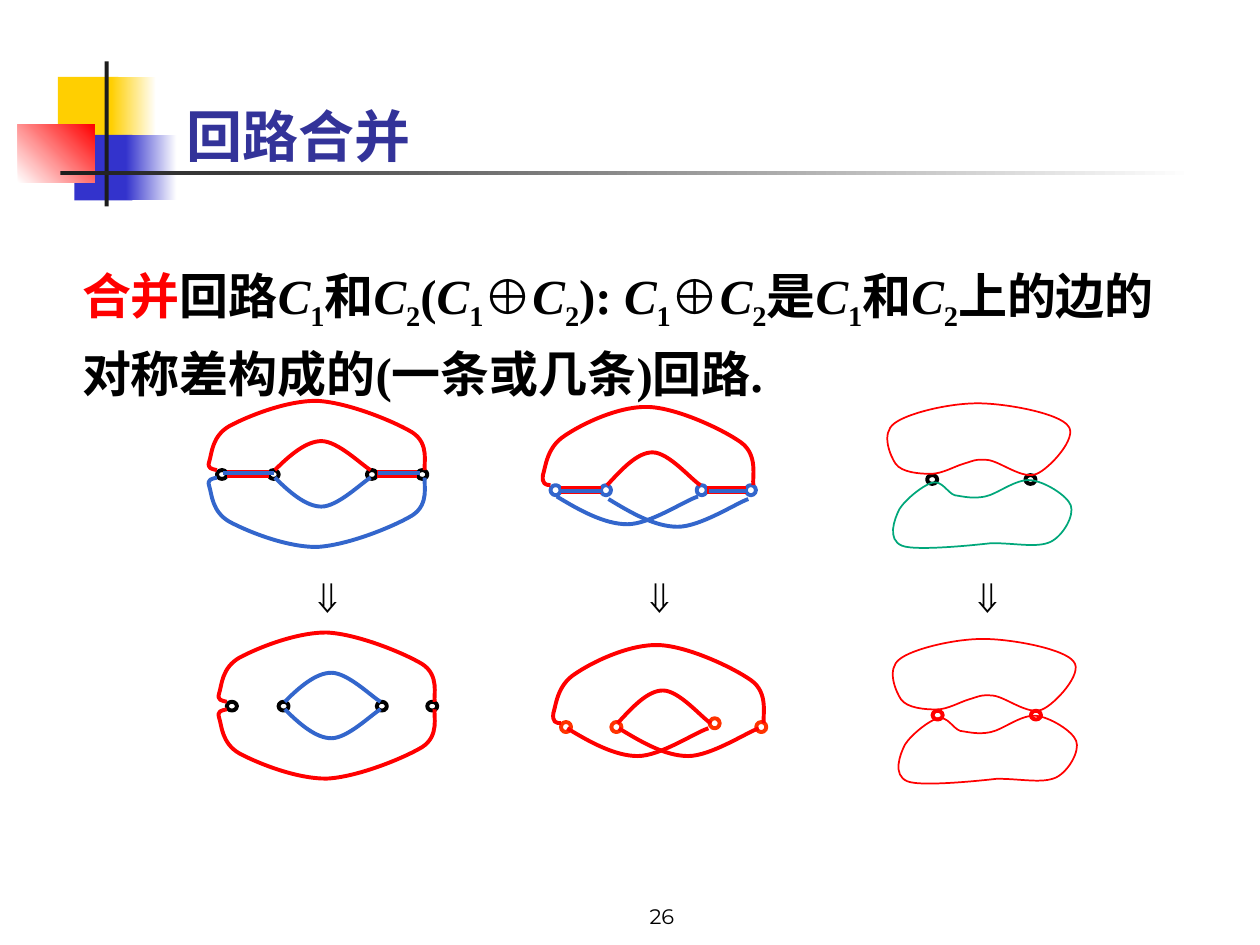
from lxml import etree
from pptx import Presentation
from pptx.dml.color import RGBColor
from pptx.enum.shapes import MSO_CONNECTOR, MSO_SHAPE
from pptx.enum.text import MSO_ANCHOR, MSO_AUTO_SIZE, PP_ALIGN
from pptx.oxml.ns import qn
from pptx.util import Cm, Pt

RECT, OVAL = MSO_SHAPE.RECTANGLE, MSO_SHAPE.OVAL
STRAIGHT = MSO_CONNECTOR.STRAIGHT
BOTTOM, TOP = MSO_ANCHOR.BOTTOM, MSO_ANCHOR.TOP
CENTER = PP_ALIGN.CENTER
GROW, NO_FIT = MSO_AUTO_SIZE.SHAPE_TO_FIT_TEXT, MSO_AUTO_SIZE.NONE

CJK, SERIF, SANS, NUMBER = "Noto Sans CJK SC", "Times New Roman", "Arial", "Montserrat"
BLACK, WHITE, DARK = "000000", "FFFFFF", "1C1C1C"
RED, BLUE, GREEN, ORANGE = "FF0000", "3366CC", "00A77A", "FF3300"
YELLOW, INDIGO, TITLE = "FFCF01", "3333CC", "333399"

# The figures are drawn on a fine grid; every curve is a start point
# followed by triples of Bezier points.
UNIT = Cm(0.0254)
RING_TOP = [(8, 55), (4, 54), (0, 54), (2, 48), (4, 42), (4, 28), (18, 20),
            (33, 12), (63, 0), (87, 0), (111, 1), (148, 16), (163, 25),
            (177, 34), (172, 50), (173, 55)]
EYE_TOP = [(54, 55), (66, 43), (79, 32), (91, 32), (104, 32), (123, 51), (130, 55)]
ARCH = [(7, 63), (3, 63), (0, 62), (1, 55), (3, 49), (4, 33), (18, 24),
        (31, 15), (61, 0), (85, 1), (108, 2), (144, 19), (158, 29),
        (172, 39), (167, 57), (168, 63)]
HUMP = [(52, 63), (64, 50), (76, 37), (88, 37), (101, 37), (119, 59), (126, 63)]
SAG = [(0, 0), (18, 11), (37, 22), (55, 22), (73, 22), (102, 3), (111, 0)]
LOOP_TOP = [(40, 56), (31, 56), (17, 55), (12, 48), (8, 42), (0, 24), (11, 16),
            (21, 8), (54, 0), (77, 0), (100, 0), (142, 8), (149, 18),
            (157, 27), (134, 52), (124, 56), (113, 61), (95, 46), (85, 45),
            (75, 44), (73, 46), (66, 48), (59, 50), (49, 56), (40, 56)]
LOOP_LOW = [(41, 63), (34, 65), (20, 76), (15, 84), (11, 92), (5, 108), (17, 113),
            (29, 118), (88, 111), (88, 111), (108, 111), (124, 115), (135, 110),
            (145, 105), (154, 89), (151, 81), (148, 73), (130, 62), (119, 61),
            (107, 60), (93, 72), (83, 74), (73, 76), (66, 74), (59, 73),
            (53, 71), (49, 61), (41, 63)]


def rgb(value):
    return RGBColor.from_string(value)


def flip(points, axis=116):
    return [(x, axis - y) for x, y in points]


def shift(points, dx, dy):
    return [(x + dx, y + dy) for x, y in points]


def place(sp, left, top, width, height):
    sp.left, sp.top, sp.width, sp.height = Cm(left), Cm(top), Cm(width), Cm(height)


def add_run(p, text, size, font, color=BLACK, bold=True, italic=False, sub=False):
    r = p.add_run()
    r.text = text
    f = r.font
    f.size, f.name, f.bold, f.italic = Pt(size), font, bold, italic
    f.color.rgb = rgb(color)
    rPr = r._r.get_or_add_rPr()
    etree.SubElement(rPr, qn("a:ea")).set("typeface", CJK)
    if sub:
        rPr.set("baseline", "-25000")


# Corner ornament and title rule
def add_ornament(slide, left, top):
    parts = [  # x, y, width, height, colours, angle
        (0.81, 0.31, 1.22, 1.32, [YELLOW], 0),
        (1.88, 0.31, 0.91, 1.32, [YELLOW, WHITE], 0),
        (1.14, 1.48, 1.17, 1.32, [INDIGO], 0),
        (2.18, 1.48, 1.02, 1.32, [INDIGO, WHITE], 0),
        (0, 1.27, 1.55, 1.17, [WHITE, RED], 45),
        (1.75, 0, 0.08, 2.92, [DARK], 0),
        (0.86, 2.21, 22.86, 0.08, [DARK, WHITE], 0),
    ]
    for x, y, width, height, colors, angle in parts:
        sp = slide.shapes.add_shape(RECT, Cm(left + x), Cm(top + y), Cm(width), Cm(height))
        sp.shadow.inherit = False
        sp.line.fill.background()
        if len(colors) == 1:
            sp.fill.solid()
            sp.fill.fore_color.rgb = rgb(colors[0])
        else:
            sp.fill.gradient()
            sp.fill.gradient_angle = angle
            for stop, color in zip(sp.fill.gradient_stops, colors):
                stop.color.rgb = rgb(color)


def add_title(slide, *box):
    sp = slide.shapes.title
    place(sp, *box)
    tf = sp.text_frame
    tf.vertical_anchor, tf.auto_size = BOTTOM, NO_FIT
    p = tf.paragraphs[0]
    p.alignment = PP_ALIGN.LEFT
    add_run(p, "回路合并", 32, CJK, TITLE)


def add_definition(slide, *box):
    sp = slide.placeholders[1]
    place(sp, *box)
    tf = sp.text_frame
    tf.vertical_anchor, tf.auto_size = TOP, NO_FIT
    p = tf.paragraphs[0]
    pPr = p._p.get_or_add_pPr()
    pPr.set("marL", "0")
    pPr.set("indent", "0")
    etree.SubElement(pPr, qn("a:buNone"))
    p.line_spacing, p.space_before = 1.2, Pt(0)
    c1, c2, plus = ["C", "1"], ["C", "2"], ["⊕"]
    words = ["合并", "回路", *c1, "和", *c2, "(", *c1, *plus, *c2, "): ",
             *c1, *plus, *c2, "是", *c1, "和", *c2,
             "上的边的对称差构成的(一条或几条)回路."]
    for word in words:
        add_run(p, word, 28, SANS if word == "⊕" else SERIF,
                RED if word == "合并" else BLACK,
                italic=word == "C", sub=word in "12")


def add_number(slide, *box):
    sp = slide.shapes.add_textbox(0, 0, 0, 0)
    place(sp, *box)
    tf = sp.text_frame
    tf.word_wrap, tf.vertical_anchor = True, BOTTOM
    tf.paragraphs[0].alignment = CENTER
    add_run(tf.paragraphs[0], "26", 12, NUMBER, bold=False)


def add_arrow(slide, *box):
    sp = slide.shapes.add_textbox(0, 0, 0, 0)
    place(sp, *box)
    tf = sp.text_frame
    tf.word_wrap, tf.auto_size = True, GROW
    tf.margin_left = tf.margin_right = Cm(0.13)
    tf.margin_top = tf.margin_bottom = Cm(0.25)
    tf._txBody.bodyPr.set("vert", "eaVert")
    add_run(tf.paragraphs[0], "⇒", 24, SANS)


# One graph: nodes, thick edges, curves, thin edges, relative to its corner
def add_graph(slide, left, top, nodes, node_color, curves, shared=(), overlay=(),
              width=2.25, close=False, node_height=7):
    left, top = Cm(left), Cm(top)
    shapes = slide.shapes.add_group_shape().shapes

    def add_edges(edges, color, weight):
        for x1, x2, y in edges:
            cx = shapes.add_connector(STRAIGHT, left + x1 * UNIT, top + y * UNIT,
                                      left + x2 * UNIT, top + y * UNIT)
            cx.line.color.rgb, cx.line.width = rgb(color), Pt(weight)
            etree.SubElement(cx._element.spPr, qn("a:effectLst"))

    for x, y in nodes:
        sp = shapes.add_shape(OVAL, left + x * UNIT, top + y * UNIT, 8 * UNIT, node_height * UNIT)
        sp.shadow.inherit = False
        sp.fill.solid()
        sp.fill.fore_color.rgb = rgb(WHITE)
        sp.line.color.rgb, sp.line.width = rgb(node_color), Pt(2.25)
    add_edges(shared, RED, 4.5)
    for points, color in curves:
        builder = shapes.build_freeform(*points[0], scale=UNIT)
        builder.add_line_segments(points[1:], close=False)
        sp = builder.convert_to_shape(left, top)
        sp.shadow.inherit = False
        sp.fill.background()
        sp.line.color.rgb, sp.line.width = rgb(color), Pt(width)
        # Turn each triple of points into one Bezier segment
        outline = sp._element.find(".//" + qn("a:path"))
        steps = outline.findall(qn("a:lnTo"))
        for i in range(0, len(steps), 3):
            bezier = etree.SubElement(outline, qn("a:cubicBezTo"))
            for step in steps[i:i + 3]:
                bezier.append(step[0])
                outline.remove(step)
        if close:
            etree.SubElement(outline, qn("a:close"))
    add_edges(overlay, BLUE, 2.25)


def add_ring_graph(slide, left, top, eye_color, low_color, **edges):
    curves = [(EYE_TOP, eye_color), (flip(EYE_TOP), BLUE),
              (RING_TOP, RED), (flip(RING_TOP), low_color)]
    add_graph(slide, left, top, [(x, 55) for x in (8, 49, 127, 167)], BLACK, curves, **edges)


def add_arch_graph(slide, left, top, nodes, node_color, low_color, sag_tops, **edges):
    curves = [(HUMP, RED), (shift(SAG, 53, sag_tops[0]), low_color),
              (ARCH, RED), (shift(SAG, 12.5, sag_tops[1]), low_color)]
    add_graph(slide, left, top, nodes, node_color, curves, node_height=8, **edges)


def add_loop_graph(slide, left, top, node_color, low_color):
    add_graph(slide, left, top, [(37, 57), (115, 57)], node_color,
              [(LOOP_TOP, RED), (LOOP_LOW, low_color)], width=1, close=True)


def main():
    prs = Presentation()
    prs.slide_width, prs.slide_height = Cm(25.4), Cm(19.05)
    slide = prs.slides.add_slide(prs.slide_layouts[1])
    add_ornament(slide, 0.36, 1.24)
    add_title(slide, 3.51, 1.27, 20.62, 2.26)
    add_definition(slide, 1.4, 4.95, 22.86, 11.53)
    add_number(slide, 9.32, 17.58, 8.05, 1.27)

    # Pairs of circuits above, merged circuits below
    add_ring_graph(slide, 4.17, 8.08, RED, BLUE, shared=[(16, 49, 58), (135, 167, 58)],
                   overlay=[(13, 53, 57), (136, 169, 57)])
    add_ring_graph(slide, 4.37, 12.75, BLUE, RED)
    add_arch_graph(slide, 10.92, 8.18, [(x, 63) for x in (7, 47, 123, 162)], BLUE, BLUE,
                   (74, 72), shared=[(15, 47, 67), (131, 162, 67)],
                   overlay=[(133, 164, 68), (15, 47, 68)])
    add_arch_graph(slide, 11.13, 12.98, [(7, 62), (47, 62), (125, 59), (162, 62)],
                   ORANGE, RED, (67, 67))
    add_loop_graph(slide, 17.75, 8.13, BLACK, GREEN)
    add_loop_graph(slide, 17.86, 12.88, RED, RED)

    for left in (5.82, 12.52, 19.13):
        add_arrow(slide, left, 11.51, 1.52, 1.19)
    prs.save("out.pptx")


if __name__ == "__main__":
    main()
